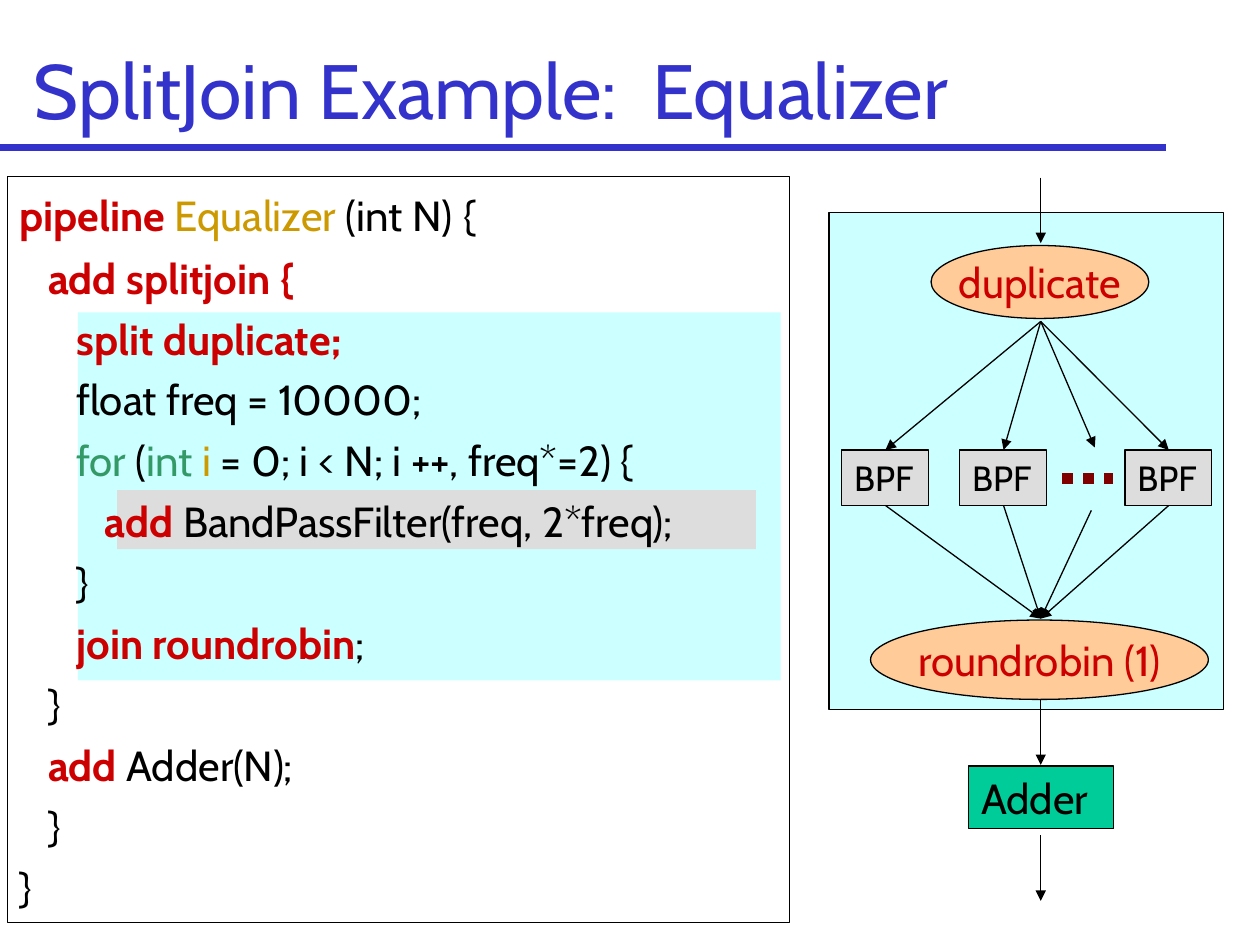
from lxml.etree import SubElement
from pptx import Presentation
from pptx.dml.color import RGBColor
from pptx.enum.dml import MSO_LINE_DASH_STYLE as Dash
from pptx.enum.shapes import MSO_CONNECTOR_TYPE as Wire, MSO_SHAPE as Kind
from pptx.enum.text import MSO_ANCHOR as Anchor, PP_ALIGN as Align
from pptx.oxml.ns import qn
from pptx.util import Cm, Pt

FONT = "Cabin"
BLACK = RGBColor(0x00, 0x00, 0x00)
BLUE = RGBColor(0x33, 0x33, 0xCC)
RED = RGBColor(0xCC, 0x00, 0x00)
GOLD = RGBColor(0xCC, 0x99, 0x00)
GREEN = RGBColor(0x33, 0x99, 0x66)
TEAL = RGBColor(0x00, 0xCC, 0x99)
AQUA = RGBColor(0xCC, 0xFF, 0xFF)
GRAY = RGBColor(0xDD, 0xDD, 0xDD)
PEACH = RGBColor(0xFF, 0xCC, 0x99)
MAROON = RGBColor(0x80, 0x00, 0x00)

CODE = [
    [("pipeline ", RED), ("Equalizer ", GOLD), ("(int N)", BLACK),
     (" ", BLACK, 28), ("{", BLACK)],
    [("   add splitjoin {", RED)],
    [("      split duplicate;", RED)],
    [("      float freq = 10000;", BLACK)],
    [("      for", GREEN), (" (", BLACK), ("int ", GREEN), ("i", GOLD),
     (" = 0; i < N; i ++, freq*=2) {", BLACK)],
    [("         add", RED), (" BandPassFilter(freq, 2*freq);", BLACK)],
    [("      }", BLACK)],
    [("      ", BLACK), ("join roundrobin", RED), (";", BLACK)],
    [("   }", BLACK)],
    [("   add", RED), (" Adder(N);", BLACK)],
    [("   }", BLACK)],
    [("}", BLACK)],
]


def style(font, color, size=24, bold=False):
    font.name = FONT
    font.size = Pt(size)
    font.bold = bold
    font.color.rgb = color


def add_box(slide, kind, left, top, width, height, fill=None, edge=True):
    shape = slide.shapes.add_shape(kind, Cm(left), Cm(top), Cm(width), Cm(height))
    shape.shadow.inherit = False
    if fill is None:
        shape.fill.background()
    else:
        shape.fill.solid()
        shape.fill.fore_color.rgb = fill
    if edge:
        shape.line.color.rgb = BLACK
        shape.line.width = Pt(0.75)
    else:
        shape.line.fill.background()
    return shape


def add_label(shape, text, color, size=24, align=Align.CENTER):
    frame = shape.text_frame
    frame.text = text
    frame.word_wrap = align != Align.CENTER
    frame.vertical_anchor = Anchor.MIDDLE
    frame.margin_right = 0 if frame.word_wrap else Cm(0.25)
    para = frame.paragraphs[0]
    para.alignment = align
    style(para.runs[0].font, color, size)


def add_wire(slide, start, end, color=BLACK, width=0.75, arrow=True):
    points = [Cm(value) for value in (*start, *end)]
    wire = slide.shapes.add_connector(Wire.STRAIGHT, *points)
    wire.line.color.rgb = color
    wire.line.width = Pt(width)
    if arrow:
        SubElement(wire.line._get_or_add_ln(), qn("a:tailEnd"), type="triangle")
    SubElement(wire._element.spPr, qn("a:effectLst"))
    return wire


def add_title(slide, left, top, width, height):
    add_wire(slide, (0, top + 2.77), (23.5, top + 2.77), BLUE, 4, False)
    box = slide.shapes.add_textbox(Cm(left), Cm(top), Cm(width), Cm(height))
    add_label(box, "SplitJoin Example:  Equalizer", BLUE, 44, Align.LEFT)


def add_code(slide, left, top, width, height):
    add_box(slide, Kind.RECTANGLE, left + 1.42, top + 2.74, 14.17, 7.42, AQUA, False)
    add_box(slide, Kind.RECTANGLE, left + 2.21, top + 6.32, 12.88, 1.19, GRAY, False)
    panel = add_box(slide, Kind.RECTANGLE, left, top, width, height)
    frame = panel.text_frame
    frame.word_wrap = True
    frame.vertical_anchor = Anchor.TOP
    for row, line in enumerate(CODE):
        para = frame.add_paragraph() if row else frame.paragraphs[0]
        para.alignment = Align.LEFT
        para.space_before = Pt(6 if row else 0)
        for text, color, *size in line:
            run = para.add_run()
            run.text = text
            style(run.font, color, *(size or [24]), bold=color == RED)


def add_flow(slide, left, top, width, height):
    def at(x, y):
        return left + x, top + y

    mid = 4.27
    add_box(slide, Kind.RECTANGLE, *at(0, 0.71), width, height, AQUA)
    for text, x, y, wide, high in (
        ("duplicate", 2.06, 1.37, 4.39, 1.47),
        ("roundrobin (1)", 0.84, 8.92, 6.81, 1.6),
    ):
        oval = add_box(slide, Kind.OVAL, *at(x, y), wide, high, PEACH)
        add_label(oval, text, RED)
    for x in (0.26, 2.64, 5.97):
        band = add_box(slide, Kind.RECTANGLE, *at(x, 5.49), 1.75, 1.12, GRAY)
        add_label(band, "BPF", BLACK, 20, Align.LEFT)
        add_wire(slide, at(mid, 2.9), at(x + 0.88, 5.49))
        add_wire(slide, at(x + 0.88, 6.61), at(mid, 8.89))
    add_wire(slide, at(mid, 2.9), at(5.36, 5.44))
    add_wire(slide, at(5.29, 6.71), at(mid, 8.89))
    dots = add_wire(slide, at(4.7, 6.07), at(5.72, 6.07), MAROON, 6, False)
    dots.line.dash_style = Dash.ROUND_DOT
    adder = add_box(slide, Kind.RECTANGLE, *at(2.82, 11.86), 2.92, 1.27, TEAL)
    add_label(adder, "Adder", BLACK, 24, Align.LEFT)
    for y in (0, 10.52, 13.26):
        add_wire(slide, at(mid, y), at(mid, y + 1.32))


def main():
    deck = Presentation()
    deck.slide_width = Cm(25.4)
    deck.slide_height = Cm(19.05)
    slide = deck.slides.add_slide(deck.slide_layouts[6])
    add_title(slide, 0.43, 0.2, 23.06, 3.18)
    add_code(slide, 0.15, 3.56, 15.77, 15.04)
    add_flow(slide, 16.71, 3.58, 7.95, 10.01)
    deck.save("out.pptx")


if __name__ == "__main__":
    main()
